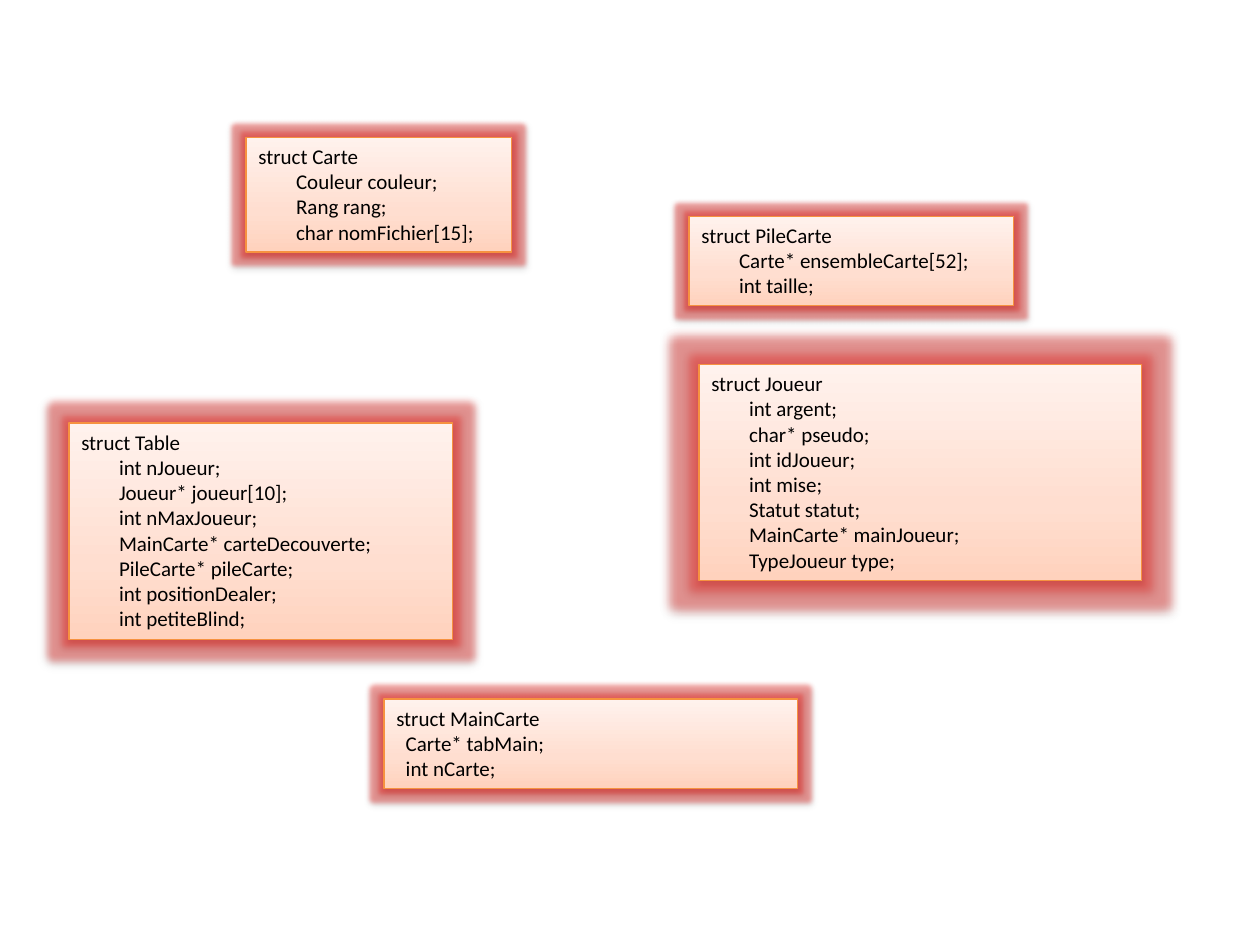
"""Draw the data structures of a card game as glowing boxes."""
import copy
from dataclasses import dataclass

import pptx
import pptx.dml.color
import pptx.dml.fill
import pptx.enum.shapes
import pptx.enum.text
import pptx.oxml
import pptx.oxml.ns
import pptx.shapes.autoshape
import pptx.slide
import pptx.util
from pptx.util import Cm

RGB = pptx.dml.color.RGBColor
BLACK = RGB(0x00, 0x00, 0x00)
EDGE = RGB(0xF6, 0x92, 0x40)
GLOW = RGB(0xC0, 0x50, 0x4D)
STOPS = (
    (0, RGB(0xFF, 0xD2, 0xBD)),
    (0.35, RGB(0xFF, 0xDE, 0xD0)),
    (1, RGB(0xFF, 0xF2, 0xED)),
)


@dataclass(frozen=True)
class Struct:
    """A struct with its place in cm and its glow in points."""
    name: str
    fields: tuple[str, ...]
    left: float
    top: float
    width: float
    height: float
    glow: int = 5
    indent: float = 0.76


STRUCTS = (
    Struct("Carte", ("Couleur couleur", "Rang rang", "char nomFichier[15]"),
           4.96, 2.77, 5.36, 2.31),
    Struct("PileCarte", ("Carte* ensembleCarte[52]", "int taille"),
           13.89, 4.36, 6.55, 1.8),
    Struct("Table", ("int nJoueur", "Joueur* joueur[10]", "int nMaxJoueur",
                     "MainCarte* carteDecouverte", "PileCarte* pileCarte",
                     "int positionDealer", "int petiteBlind"),
           1.39, 8.53, 7.74, 4.36, glow=8),
    Struct("Joueur", ("int argent", "char* pseudo", "int idJoueur", "int mise",
                      "Statut statut", "MainCarte* mainJoueur",
                      "TypeJoueur type"),
           14.09, 7.35, 8.93, 4.36, glow=11),
    Struct("MainCarte", ("Carte* tabMain", "int nCarte"),
           7.74, 14.09, 8.34, 1.8, indent=0.19),
)


def shade(fill: pptx.dml.fill.FillFormat) -> None:
    """Fill with the three-stop gradient, darkest at the bottom."""
    fill.gradient()
    fill.gradient_angle = 90
    last = fill._fill._gradFill.gsLst[-1]
    last.addnext(copy.deepcopy(last))
    for stop, (place, color) in zip(fill.gradient_stops, STOPS):
        stop.position = place
        stop.color.rgb = color


def light(shape: pptx.shapes.autoshape.Shape, size: int) -> None:
    """Give the shape a red glow and a soft shadow."""
    shape.shadow.inherit = False
    space = pptx.oxml.ns.nsdecls("a")
    effects = shape._element.spPr.find(pptx.oxml.ns.qn("a:effectLst"))
    effects.append(pptx.oxml.parse_xml(
        f'<a:glow {space} rad="{pptx.util.Pt(size)}"><a:srgbClr val="{GLOW}">'
        '<a:satMod val="175000"/><a:alpha val="40000"/></a:srgbClr></a:glow>'))
    effects.append(pptx.oxml.parse_xml(
        f'<a:outerShdw {space} blurRad="40000" dist="20000" dir="5400000" '
        f'rotWithShape="0"><a:srgbClr val="{BLACK}"><a:alpha val="38000"/>'
        '</a:srgbClr></a:outerShdw>'))


def draw(slide: pptx.slide.Slide, item: Struct) -> None:
    """Draw one struct with its fields indented under its name."""
    box = slide.shapes.add_shape(
        pptx.enum.shapes.MSO_SHAPE.RECTANGLE,
        Cm(item.left), Cm(item.top), Cm(item.width), Cm(item.height))
    shade(box.fill)
    box.line.color.rgb = EDGE
    box.line.width = pptx.util.Pt(0.75)
    light(box, item.glow)
    frame = box.text_frame
    frame.word_wrap = True
    frame.auto_size = pptx.enum.text.MSO_AUTO_SIZE.SHAPE_TO_FIT_TEXT
    frame.vertical_anchor = pptx.enum.text.MSO_ANCHOR.TOP
    lines = [f"struct {item.name}", *(f"{field};" for field in item.fields)]
    frame.text = "\n".join(lines)
    for row, para in enumerate(frame.paragraphs):
        para.alignment = pptx.enum.text.PP_ALIGN.LEFT
        para.font.name = "Calibri"
        para.font.size = pptx.util.Pt(12)
        para.font.color.rgb = BLACK
        if row:
            para._p.get_or_add_pPr().set("marL", str(Cm(item.indent)))


def main() -> None:
    """Build and save the slide."""
    deck = pptx.Presentation()
    deck.slide_width, deck.slide_height = Cm(25.4), Cm(19.05)
    slide = deck.slides.add_slide(deck.slide_layouts[6])
    for item in STRUCTS:
        draw(slide, item)
    deck.save("out.pptx")


if __name__ == "__main__":
    main()
